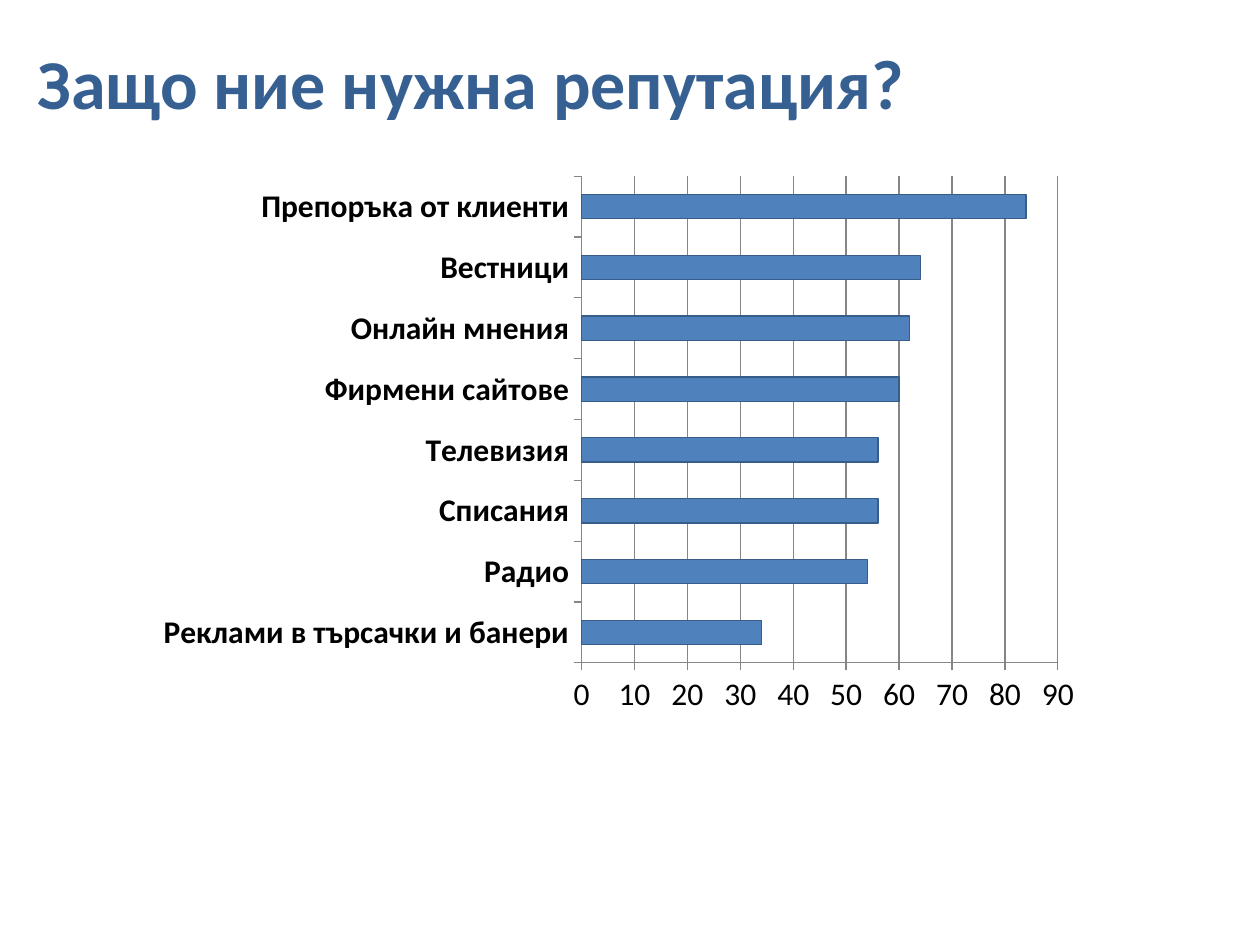
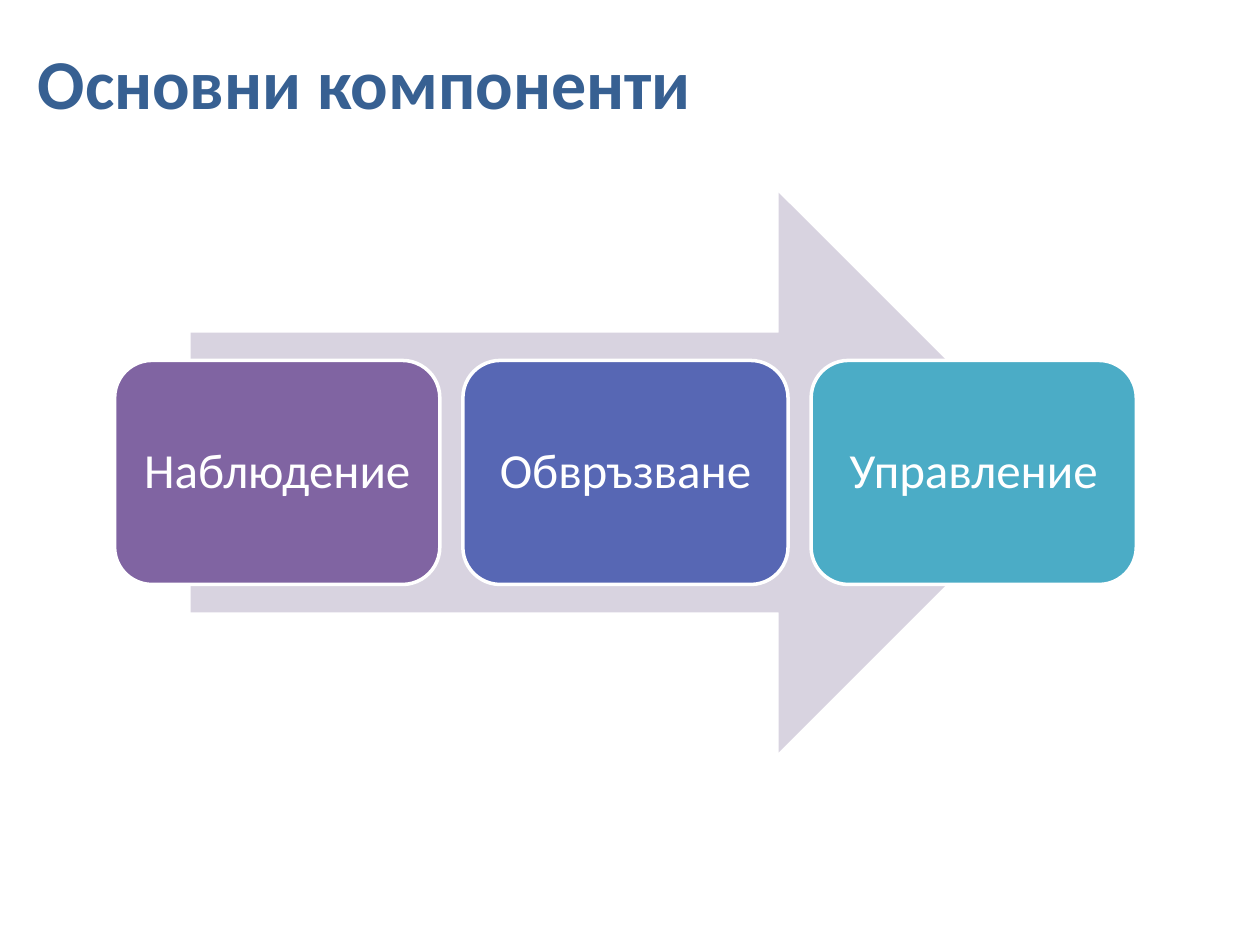
from lxml import etree
from pptx import Presentation
from pptx.chart.data import CategoryChartData
from pptx.dml.color import RGBColor
from pptx.enum.chart import XL_CHART_TYPE, XL_TICK_MARK
from pptx.enum.shapes import MSO_SHAPE
from pptx.enum.text import MSO_ANCHOR, MSO_AUTO_SIZE, PP_ALIGN
from pptx.oxml.ns import qn
from pptx.util import Pt

BAR = XL_CHART_TYPE.BAR_CLUSTERED
OUT = XL_TICK_MARK.OUTSIDE
NONE = XL_TICK_MARK.NONE
ARROW = MSO_SHAPE.RIGHT_ARROW
ROUND = MSO_SHAPE.ROUNDED_RECTANGLE
MIDDLE = MSO_ANCHOR.MIDDLE
FIXED = MSO_AUTO_SIZE.NONE
LEFT, CENTER = PP_ALIGN.LEFT, PP_ALIGN.CENTER

FONT = "Calibri"
TITLE_ONLY = 5
COLORS = {
    "title": "376092", "text": "000000", "white": "FFFFFF",
    "bar": "4F81BD", "edge": "385D8A", "grid": "868686",
    "arrow": "D8D3E0", "watch": "8064A2", "link": "5767B4", "manage": "4BACC6",
}
TRUST = {
    "Реклами в търсачки и банери": 34,
    "Радио": 54,
    "Списания": 56,
    "Телевизия": 56,
    "Фирмени сайтове": 60,
    "Онлайн мнения": 62,
    "Вестници": 64,
    "Препоръка от клиенти": 84,
}
STEPS = [("Наблюдение", "watch"), ("Обвръзване", "link"), ("Управление", "manage")]
PLOT = {"x": 0.46, "y": 0.02, "w": 0.5, "h": 0.87}


def rgb(name):
    return RGBColor.from_string(COLORS[name])


def apply(item, **values):
    for name, value in values.items():
        setattr(item, name, value)


def style(font, size, color, bold=False):
    apply(font, name=FONT, size=Pt(size), bold=bold)
    font.color.rgb = rgb(color)


def paint(fmt, color):
    fmt.fill.solid()
    fmt.fill.fore_color.rgb = rgb(color)


def stroke(line, color, width):
    line.color.rgb = rgb(color)
    line.width = Pt(width)


def write(shape, text, size, color, align, bold=False):
    frame = shape.text_frame
    frame.text = text
    apply(frame, word_wrap=True, auto_size=FIXED, vertical_anchor=MIDDLE)
    para = frame.paragraphs[0]
    para.alignment = align
    style(para.runs[0].font, size, color, bold)
    return frame


def add_slide(deck, title):
    slide = deck.slides.add_slide(deck.slide_layouts[TITLE_ONLY])
    head = slide.shapes.title
    apply(head, left=Pt(14.4), top=Pt(15.1), width=Pt(612), height=Pt(62.6))
    write(head, title, 40, "title", LEFT, True)
    return slide


def add_block(slide, kind, box, color):
    shape = slide.shapes.add_shape(kind, *map(Pt, box))
    shape.shadow.inherit = False
    paint(shape, color)
    shape.line.fill.background()
    return shape


def place_plot(chart):
    plot = chart._chartSpace.chart.plotArea
    for old in plot.findall(qn("c:layout")):
        plot.remove(old)
    layout = etree.Element(qn("c:layout"))
    manual = etree.SubElement(layout, qn("c:manualLayout"))
    parts = {"layoutTarget": "inner", "xMode": "edge", "yMode": "edge", **PLOT}
    for name, value in parts.items():
        etree.SubElement(manual, qn(f"c:{name}")).set("val", str(value))
    plot.insert(0, layout)


def add_bars(slide, values, box):
    data = CategoryChartData()
    data.categories = list(values)
    data.add_series("Series 1", list(values.values()))
    chart = slide.shapes.add_chart(BAR, *map(Pt, box), data).chart
    apply(chart, has_legend=False, has_title=False)
    style(chart.font, 18, "text")
    plot = chart.plots[0]
    apply(plot, gap_width=150, vary_by_categories=False)
    bars = plot.series[0].format
    paint(bars, "bar")
    stroke(bars.line, "edge", 0.75)
    for axis in (chart.category_axis, chart.value_axis):
        apply(axis, major_tick_mark=OUT, minor_tick_mark=NONE)
        stroke(axis.format.line, "grid", 0.75)
    style(chart.category_axis.tick_labels.font, 18, "text", True)
    chart.category_axis.has_major_gridlines = False
    scale = chart.value_axis
    apply(scale, minimum_scale=0, maximum_scale=90, major_unit=10,
          has_major_gridlines=True)
    stroke(scale.major_gridlines.format.line, "grid", 0.75)
    place_plot(chart)


def add_steps(slide, steps):
    left, top, width, height, pitch = 65.5, 206, 185.8, 128, 199
    for index, (text, color) in enumerate(steps):
        box = (left + index * pitch, top, width, height)
        card = add_block(slide, ROUND, box, color)
        stroke(card.line, "white", 2)
        frame = write(card, text, 28, "white", CENTER)
        frame.paragraphs[0].line_spacing = 0.9
        for side in ("left", "top", "right", "bottom"):
            setattr(frame, f"margin_{side}", Pt(8.6))


def main():
    deck = Presentation()
    apply(deck, slide_width=Pt(720), slide_height=Pt(540))
    reasons = add_slide(deck, "Защо ние нужна репутация?")
    add_bars(reasons, TRUST, (82, 94.3, 544.3, 319.7))
    process = add_slide(deck, "Основни компоненти")
    add_block(process, ARROW, (108.9, 110, 496, 320), "arrow")
    add_steps(process, STEPS)
    deck.save("out.pptx")


if __name__ == "__main__":
    main()
